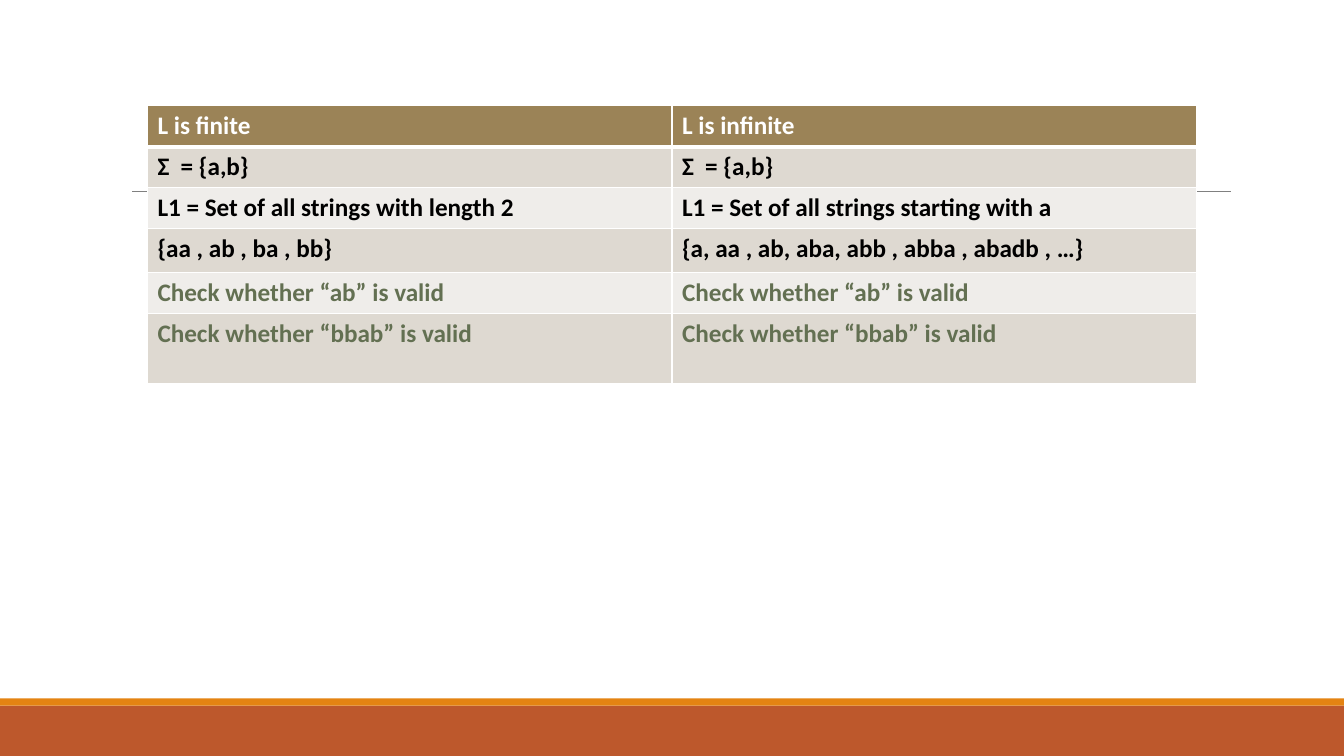
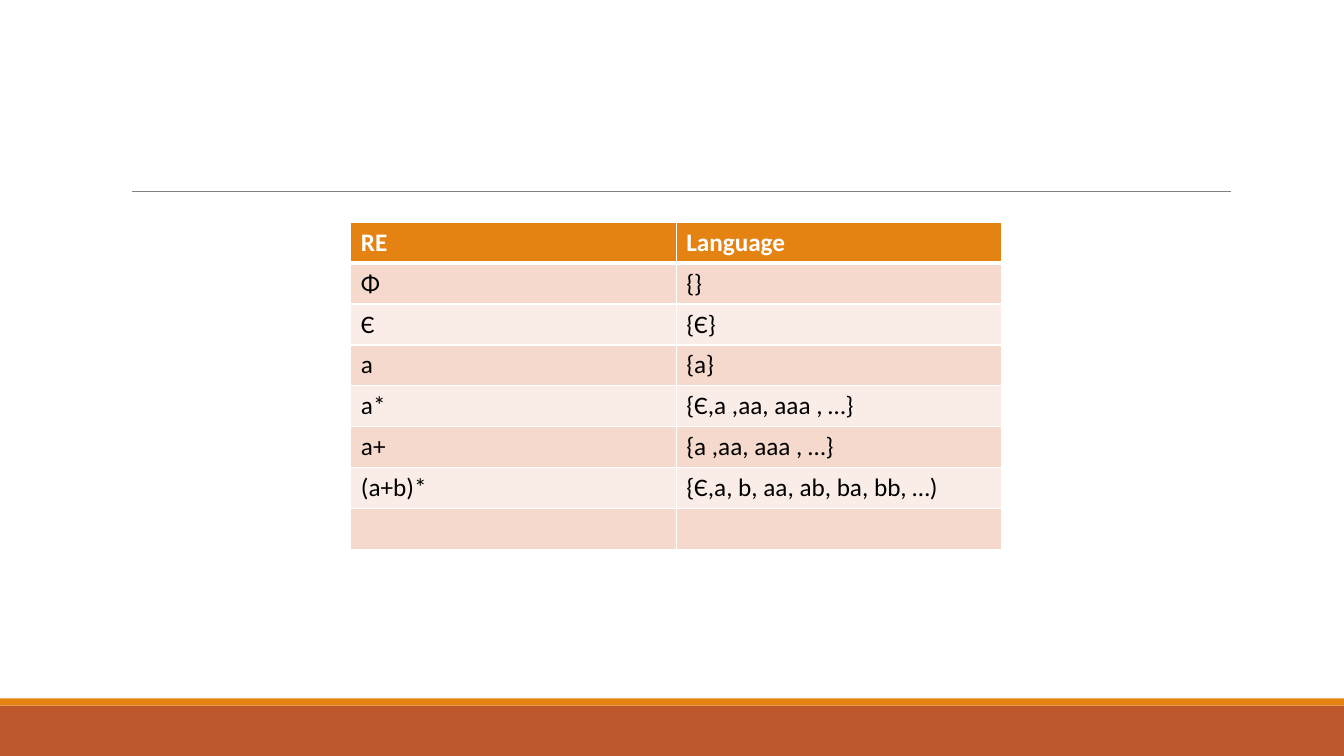
from pptx import Presentation
from pptx.dml.color import RGBColor
from pptx.enum.shapes import MSO_CONNECTOR, MSO_SHAPE
from pptx.oxml import parse_xml
from pptx.oxml.ns import nsdecls
from pptx.util import Pt
from lxml.etree import SubElement

FONT = "Calibri"
WHITE = RGBColor(0xFF, 0xFF, 0xFF)
BLACK = RGBColor(0, 0, 0)
GREY = RGBColor(0x80, 0x80, 0x80)
RUST = RGBColor(0xBD, 0x58, 0x2C)
ORANGE = RGBColor(0xE4, 0x83, 0x12)
GREEN = RGBColor(0x63, 0x70, 0x52)
BROWN = RGBColor(0x9B, 0x83, 0x57)
SAND = (RGBColor(0xDE, 0xD9, 0xD1), RGBColor(0xEF, 0xED, 0xEA))
PEACH = (RGBColor(0xF5, 0xD9, 0xCC), RGBColor(0xFA, 0xED, 0xE7))

WIDTH, HEIGHT = 960, 540
ROW = 29.2

# Content: one table per slide
TABLES = [
    dict(
        left=105.3, top=75.6, col_width=374.7, header=BROWN, bands=SAND, bold=True,
        heights={3: 31.4, 5: 50.4}, colors={4: GREEN, 5: GREEN},
        rows=[
            ("L is finite", "L is infinite"),
            ("Σ  = {a,b}", "Σ  = {a,b}"),
            ("L1 = Set of all strings with length 2", "L1 = Set of all strings starting with a"),
            ("{aa , ab , ba , bb}", "{a, aa , ab, aba, abb , abba , abadb , …}"),
            ("Check whether “ab” is valid", "Check whether “ab” is valid"),
            ("Check whether “bbab” is valid", "Check whether “bbab” is valid"),
        ],
    ),
    dict(
        left=250.6, top=158.8, col_width=232.4, header=ORANGE, bands=PEACH, bold=False,
        heights={}, colors={},
        rows=[
            ("RE", "Language"),
            ("Φ", "{}"),
            ("Є", "{Є}"),
            ("a", "{a}"),
            ("a*", "{Є,a ,aa, aaa , …}"),
            ("a+", "{a ,aa, aaa , …}"),
            ("(a+b)*", "{Є,a, b, aa, ab, ba, bb, …)"),
            ("", ""),
        ],
    ),
]


def add_band(s, top, height, color):
    sp = s.shapes.add_shape(MSO_SHAPE.RECTANGLE, 0, Pt(top), Pt(WIDTH), Pt(height))
    sp.shadow.inherit = False
    sp.fill.solid()
    sp.fill.fore_color.rgb = color
    sp.line.fill.background()


def add_frame(s):
    """Footer bands and the title rule."""
    add_band(s, 504, 36, RUST)
    add_band(s, 498.8, 5.2, ORANGE)
    rule = s.shapes.add_connector(MSO_CONNECTOR.STRAIGHT, Pt(94.4), Pt(136.6), Pt(879), Pt(136.6))
    rule.line.color.rgb = GREY
    rule.line.width = Pt(0.5)
    SubElement(rule._element.spPr, "{http://schemas.openxmlformats.org/drawingml/2006/main}effectLst")


def set_borders(cell, row):
    """White borders, thicker between the header and the body."""
    widths = dict(L=1, R=1, T=3 if row == 1 else 1, B=3 if row == 0 else 1)
    tcPr = cell._tc.get_or_add_tcPr()
    for i, (side, width) in enumerate(widths.items()):
        tcPr.insert(i, parse_xml(
            f'<a:ln{side} {nsdecls("a")} w="{Pt(width)}"><a:solidFill>'
            f'<a:srgbClr val="{WHITE}"/></a:solidFill></a:ln{side}>'))


def fill_cell(cell, text, fill, color, bold):
    cell.fill.solid()
    cell.fill.fore_color.rgb = fill
    if text:
        r = cell.text_frame.paragraphs[0].add_run()
        r.text = text
        r.font.name = FONT
        r.font.size = Pt(18)
        r.font.bold = bold
        r.font.color.rgb = color


def add_table(s, spec_):
    rows = spec_["rows"]
    heights = [spec_["heights"].get(i, ROW) for i in range(len(rows))]
    cols = len(rows[0])
    table = s.shapes.add_table(
        len(rows), cols, Pt(spec_["left"]), Pt(spec_["top"]),
        Pt(cols * spec_["col_width"]), Pt(sum(heights))).table
    for col in table.columns:
        col.width = Pt(spec_["col_width"])
    for i, texts in enumerate(rows):
        table.rows[i].height = Pt(heights[i])
        header = i == 0
        fill = spec_["header"] if header else spec_["bands"][(i - 1) % 2]
        color = WHITE if header else spec_["colors"].get(i, BLACK)
        for j, text in enumerate(texts):
            cell = table.cell(i, j)
            fill_cell(cell, text, fill, color, header or spec_["bold"])
            set_borders(cell, i)


def main():
    prs = Presentation()
    prs.slide_width, prs.slide_height = Pt(WIDTH), Pt(HEIGHT)
    for content in TABLES:
        s = prs.slides.add_slide(prs.slide_layouts[6])
        add_frame(s)
        add_table(s, content)
    prs.save("out.pptx")


if __name__ == "__main__":
    main()
